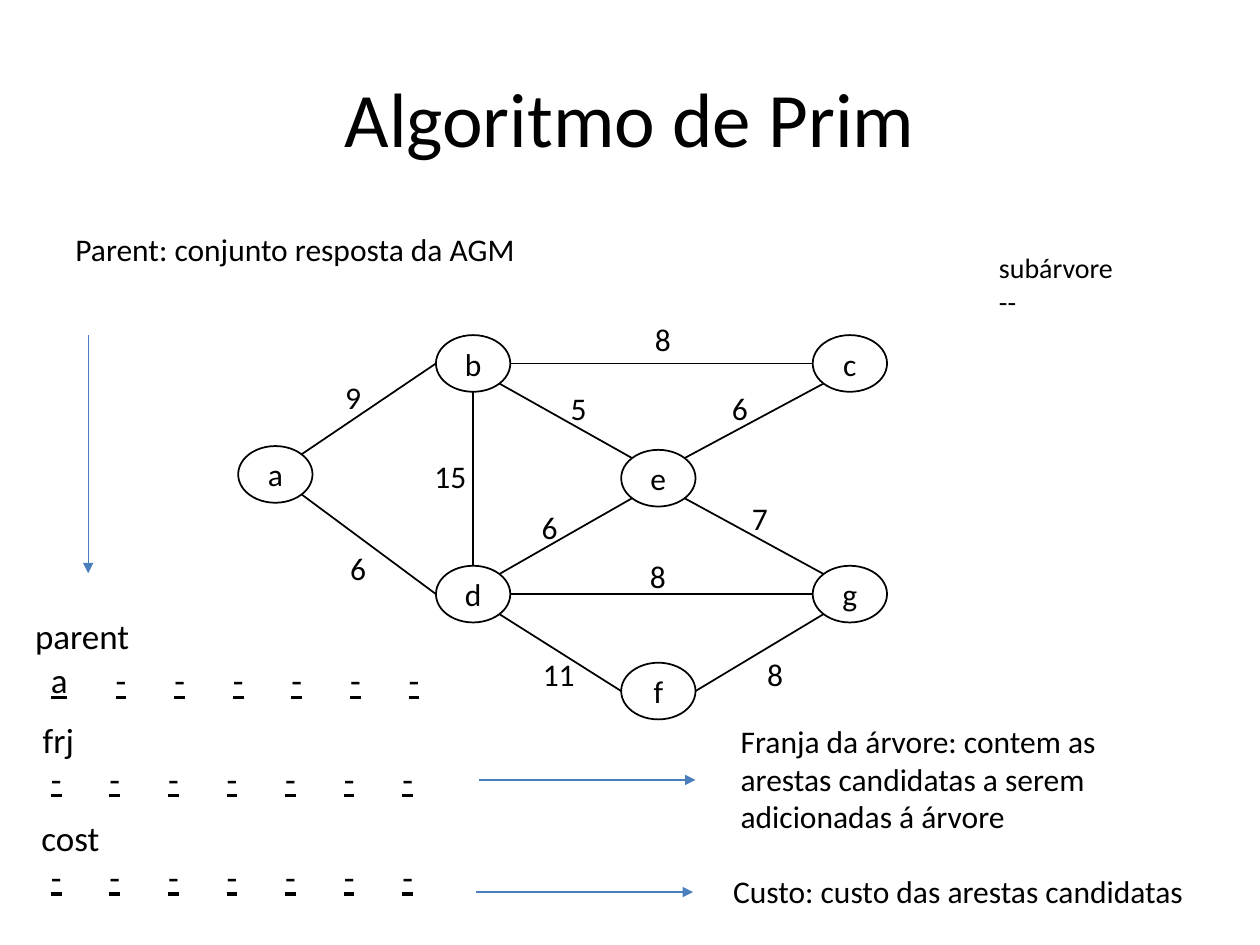
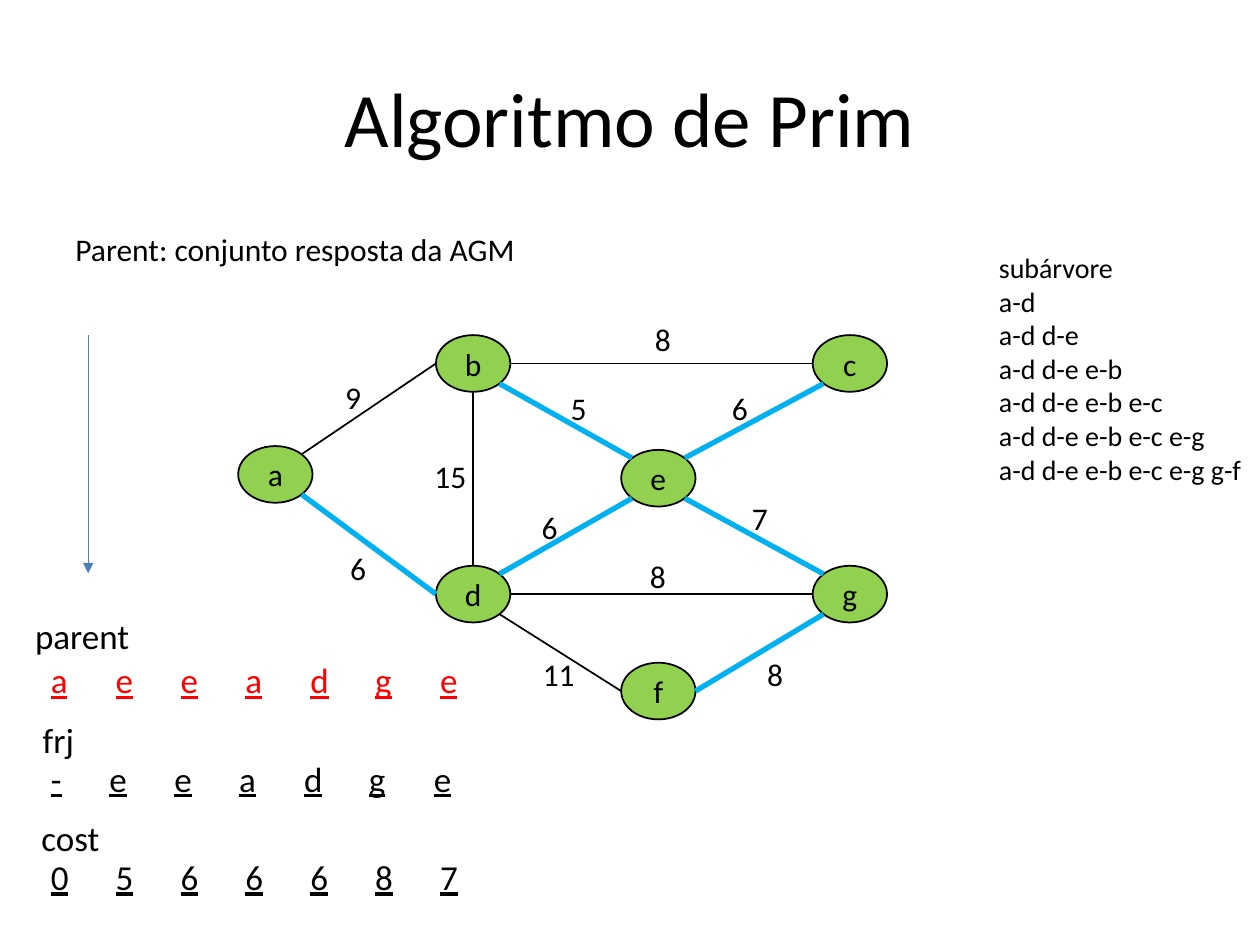
from lxml import etree
from pptx import Presentation
from pptx.dml.color import RGBColor
from pptx.enum.shapes import MSO_CONNECTOR, MSO_SHAPE
from pptx.enum.text import MSO_ANCHOR, PP_ALIGN
from pptx.oxml.ns import qn
from pptx.util import Inches, Pt

LINE, ELLIPSE = MSO_CONNECTOR.STRAIGHT, MSO_SHAPE.OVAL
CENTER, LEFT = PP_ALIGN.CENTER, PP_ALIGN.LEFT
MIDDLE, TOP = MSO_ANCHOR.MIDDLE, MSO_ANCHOR.TOP

COLORS = {"text": "000000", "open": "FFFFFF", "done": "92D050",
          "tree": "00B0F0", "arrow": "4B7EBC", "answer": "FF0000"}

# Graph: left and top of each node, and the sites of a node as (x, y) directions
NODE_W, NODE_H = 0.59, 0.45
NODES = {"a": (1.89, 3.54), "f": (4.93, 5.26), "b": (3.46, 2.66), "d": (3.46, 4.49),
         "e": (4.93, 3.57), "g": (6.45, 4.49), "c": (6.45, 2.66)}
DIAG = 0.71
SITES = {"n": (0, -1), "s": (0, 1), "w": (-1, 0), "e": (1, 0),
         "nw": (-DIAG, -DIAG), "ne": (DIAG, -DIAG),
         "sw": (-DIAG, DIAG), "se": (DIAG, DIAG)}

# Edges: nodes, the site used on each, weight, left and top of the weight
EDGES = [
    ("ad", "se", "w", "6", 2.68, 4.31),
    ("fd", "w", "se", "11", 4.21, 5.15),
    ("eb", "nw", "se", "5", 4.43, 3.04),
    ("ab", "ne", "w", "9", 2.64, 2.95),
    ("db", "n", "s", "15", 3.35, 3.58),
    ("de", "ne", "sw", "6", 4.2, 3.98),
    ("ce", "sw", "ne", "6", 5.71, 3.04),
    ("cb", "w", "e", "8", 5.1, 2.49),
    ("ge", "nw", "se", "7", 5.87, 3.91),
    ("gd", "w", "e", "8", 5.06, 4.37),
    ("fg", "e", "sw", "8", 5.99, 5.15),
]
TREE = {"ad", "de", "eb", "ce", "ge", "fg"}

# Arrays: name, its left and top, and its width; slots lie below the name
ARRAYS = [("parent", 0.18, 4.83, 0.96), ("frj", 0.24, 5.65, 0.45), ("cost", 0.23, 6.43, 0.67)]
SLOT_TOP, SLOT_STEP = 5.18, 0.78
SLOT_PAD = SLOT_GAP = 0.125
DASH_W, CHAR_W = 0.09, 0.14


class Deck:
    def __init__(self):
        self.prs = Presentation()
        self.prs.slide_width, self.prs.slide_height = Inches(10), Inches(7.5)
        self.s = None

    def slide(self):
        self.s = self.prs.slides.add_slide(self.prs.slide_layouts[6])

    def run(self, p, text, size=18, color="text", underline=False):
        r = p.add_run()
        r.text = text
        fmt = {"name": "Calibri", "size": Pt(size), "underline": underline}
        for key, value in fmt.items():
            setattr(r.font, key, value)
        r.font.color.rgb = RGBColor.from_string(COLORS[color])

    def text(self, x, y, w, h, lines, size=18, wrap=False, align=LEFT, anchor=TOP):
        tf = self.s.shapes.add_textbox(Inches(x), Inches(y), Inches(w), Inches(h)).text_frame
        tf.word_wrap, tf.vertical_anchor = wrap, anchor
        for i, line in enumerate(lines):
            p = tf.add_paragraph() if i else tf.paragraphs[0]
            p.alignment = align
            self.run(p, line, size)
        return tf

    def node(self, name, fill):
        x, y = NODES[name]
        sp = self.s.shapes.add_shape(ELLIPSE, Inches(x), Inches(y), Inches(NODE_W), Inches(NODE_H))
        sp.shadow.inherit = False
        sp.fill.solid()
        sp.fill.fore_color.rgb = RGBColor.from_string(COLORS[fill])
        sp.line.color.rgb = RGBColor.from_string(COLORS["text"])
        sp.line.width = Pt(1)
        tf = sp.text_frame
        tf.vertical_anchor = MIDDLE
        p = tf.paragraphs[0]
        p.alignment = CENTER
        self.run(p, name)

    def line(self, start, end, color="text", width=1, arrow=False):
        cx = self.s.shapes.add_connector(LINE, *(Inches(v) for v in (*start, *end)))
        cx.line.color.rgb = RGBColor.from_string(COLORS[color])
        cx.line.width = Pt(width)
        if arrow:
            etree.SubElement(cx.line._get_or_add_ln(), qn("a:tailEnd"), type="triangle")
        etree.SubElement(cx._element.spPr, qn("a:effectLst"))

    def arrow(self, start, end):
        self.line(start, end, "arrow", 0.75, arrow=True)

    def slots(self, y, values, color="text"):
        """A row of underlined slots, each set out by tab stops."""
        stops, x = [], 0
        for value in values:
            left = x + SLOT_PAD
            right = left + (DASH_W if value == "-" else CHAR_W) + SLOT_PAD
            x = right + SLOT_GAP
            stops += [left, right, x]
        stops.pop()
        tf = self.text(0.18, y, stops[-1] + 0.22, 0.44, [], wrap=True)
        p = tf.paragraphs[0]
        tabs = etree.SubElement(p._p.get_or_add_pPr(), qn("a:tabLst"))
        for stop in stops:
            etree.SubElement(tabs, qn("a:tab"), pos=str(Inches(stop)), algn="l")
        for i, value in enumerate(values):
            if i:
                self.run(p, "\t", 20)
            self.run(p, "\t", 20, underline=True)
            self.run(p, value, 20, color, underline=True)
            self.run(p, "\t", 20, underline=True)


def site(name, side):
    x, y = NODES[name]
    dx, dy = SITES[side]
    return x + NODE_W / 2 * (1 + dx), y + NODE_H / 2 * (1 + dy)


def prim_slide(d, fill, tree, rows, answer_color):
    d.slide()
    d.text(0.5, 0.3, 9, 1.25, ["Algoritmo de Prim"], 44, True, CENTER, MIDDLE)

    # Graph
    for name in NODES:
        d.node(name, fill)
    for (u, v), side_u, side_v, weight, x, y in EDGES:
        look = ("tree", 3) if u + v in tree else ("text", 1)
        d.line(site(u, side_u), site(v, side_v), *look)
        d.text(x, y, 0.2 + 0.13 * len(weight), 0.4, [weight])

    # Arrays
    for i, (name, x, y, w) in enumerate(ARRAYS):
        d.slots(SLOT_TOP + i * SLOT_STEP, rows[i], "text" if i else answer_color)
        d.text(x, y, w, 0.44, [name], 20)

    # Meaning of the parent array
    d.arrow((0.7, 2.66), (0.7, 4.55))
    d.text(0.5, 1.78, 3.73, 0.4, ["Parent: conjunto resposta da AGM"])


def main():
    d = Deck()

    # Slide 1: start of the algorithm
    prim_slide(d, "open", set(), ["a------", "-------", "-------"], "text")
    d.text(7.83, 1.94, 1.19, 0.64, ["subárvore", "--"], 16)
    d.arrow((3.8, 6.19), (5.52, 6.19))
    d.text(5.78, 5.68, 3.4, 1.01, ["Franja da árvore: contem as arestas candidatas "
                                   "a serem adicionadas á árvore"], wrap=True)
    d.arrow((3.78, 7.08), (5.5, 7.08))
    d.text(5.72, 6.87, 4.16, 0.4, ["Custo: custo das arestas candidatas"], wrap=True)

    # Slide 2: finished tree, with the subtree after each step
    prim_slide(d, "done", TREE, ["aeeadge", "-eeadge", "0566687"], "answer")
    steps = ["a-d", "d-e", "e-b", "e-c", "e-g", "g-f"]
    subtrees = [" ".join(steps[:n + 1]) for n in range(len(steps))]
    d.text(7.83, 1.94, 2.17, 2.26, ["subárvore", *subtrees], 16, wrap=True)

    d.prs.save("out.pptx")


if __name__ == "__main__":
    main()
